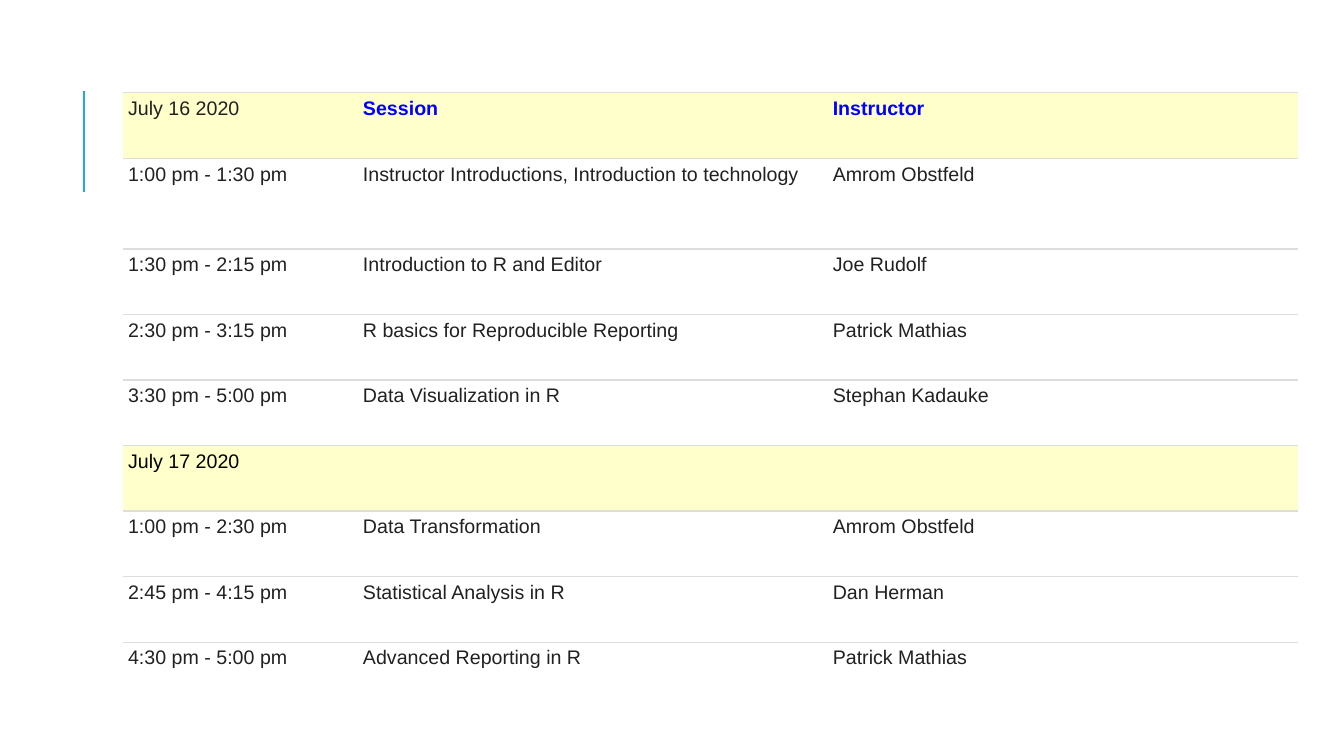
"""Build a slide with the two-day workshop schedule."""
from lxml import etree
from pptx import Presentation
from pptx.dml.color import RGBColor
from pptx.enum.shapes import MSO_CONNECTOR
from pptx.oxml.ns import qn
from pptx.util import Inches, Pt

STRAIGHT = MSO_CONNECTOR.STRAIGHT
INK, BLACK, BLUE = "212121", "000000", "0000FF"
YELLOW, WHITE, RULE, ACCENT = "FFFFCC", "FFFFFF", "DDDDDD", "1CADE4"
COLUMN_WIDTHS = [2.33, 4.66, 4.66]
ROW_HEIGHT, TALL_ROW_HEIGHT, TALL_ROW = 0.65, 0.9, 1
SCHEDULE = [
    ("July 16 2020", "Session", "Instructor"),
    ("1:00 pm - 1:30 pm", "Instructor Introductions, Introduction to technology", "Amrom Obstfeld"),
    ("1:30 pm - 2:15 pm", "Introduction to R and Editor", "Joe Rudolf"),
    ("2:30 pm - 3:15 pm", "R basics for Reproducible Reporting", "Patrick Mathias"),
    ("3:30 pm - 5:00 pm", "Data Visualization in R", "Stephan Kadauke"),
    ("July 17 2020", "", ""),
    ("1:00 pm - 2:30 pm", "Data Transformation", "Amrom Obstfeld"),
    ("2:45 pm - 4:15 pm", "Statistical Analysis in R", "Dan Herman"),
    ("4:30 pm - 5:00 pm", "Advanced Reporting in R", "Patrick Mathias"),
]


def color(hex_text):
    return RGBColor.from_string(hex_text)


def add_border(cell, side, hex_text=None):
    properties = cell._tc.get_or_add_tcPr()
    line = etree.SubElement(properties, qn(f"a:ln{side}"), w=str(Pt(1)))
    if hex_text:
        fill = etree.SubElement(line, qn("a:solidFill"))
        etree.SubElement(fill, qn("a:srgbClr"), val=hex_text)
    else:
        etree.SubElement(line, qn("a:noFill"))


deck = Presentation()
deck.slide_width, deck.slide_height = Inches(13.33), Inches(7.5)
page = deck.slides.add_slide(deck.slide_layouts[6])

accent = page.shapes.add_connector(STRAIGHT, Inches(0.83), Inches(1.9), Inches(0.83), Inches(0.9))
accent.line.color.rgb = color(ACCENT)
accent.line.width = Pt(1.5)
etree.SubElement(accent._element.spPr, qn("a:effectLst"))

table = page.shapes.add_table(
    len(SCHEDULE), len(COLUMN_WIDTHS), Inches(1.22), Inches(0.92), Inches(11.65), Inches(6.1)
).table
table.first_row = False
table.horz_banding = False
for column, width in zip(table.columns, COLUMN_WIDTHS):
    column.width = Inches(width)

for row_index, entries in enumerate(SCHEDULE):
    row = table.rows[row_index]
    row.height = Inches(TALL_ROW_HEIGHT if row_index == TALL_ROW else ROW_HEIGHT)
    is_day = entries[0].startswith("July")
    is_last = row_index == len(SCHEDULE) - 1
    for column_index, entry in enumerate(entries):
        cell = row.cells[column_index]
        cell.margin_left = cell.margin_right = Inches(0.05)
        cell.margin_top = cell.margin_bottom = Inches(0.05)
        add_border(cell, "L")
        add_border(cell, "R")
        add_border(cell, "T", RULE)
        add_border(cell, "B", None if is_last else RULE)
        cell.fill.solid()
        cell.fill.fore_color.rgb = color(YELLOW if is_day else WHITE)
        if not entry:
            continue
        is_heading = row_index == 0 and column_index > 0
        para = cell.text_frame.paragraphs[0]
        para.text = entry
        para.space_after = Pt(15)
        font = para.runs[0].font
        font.name = "Arial"
        font.size = Pt(14)
        font.bold = is_heading
        later_day = is_day and row_index > 0
        font.color.rgb = color(BLUE if is_heading else BLACK if later_day else INK)

deck.save("out.pptx")
